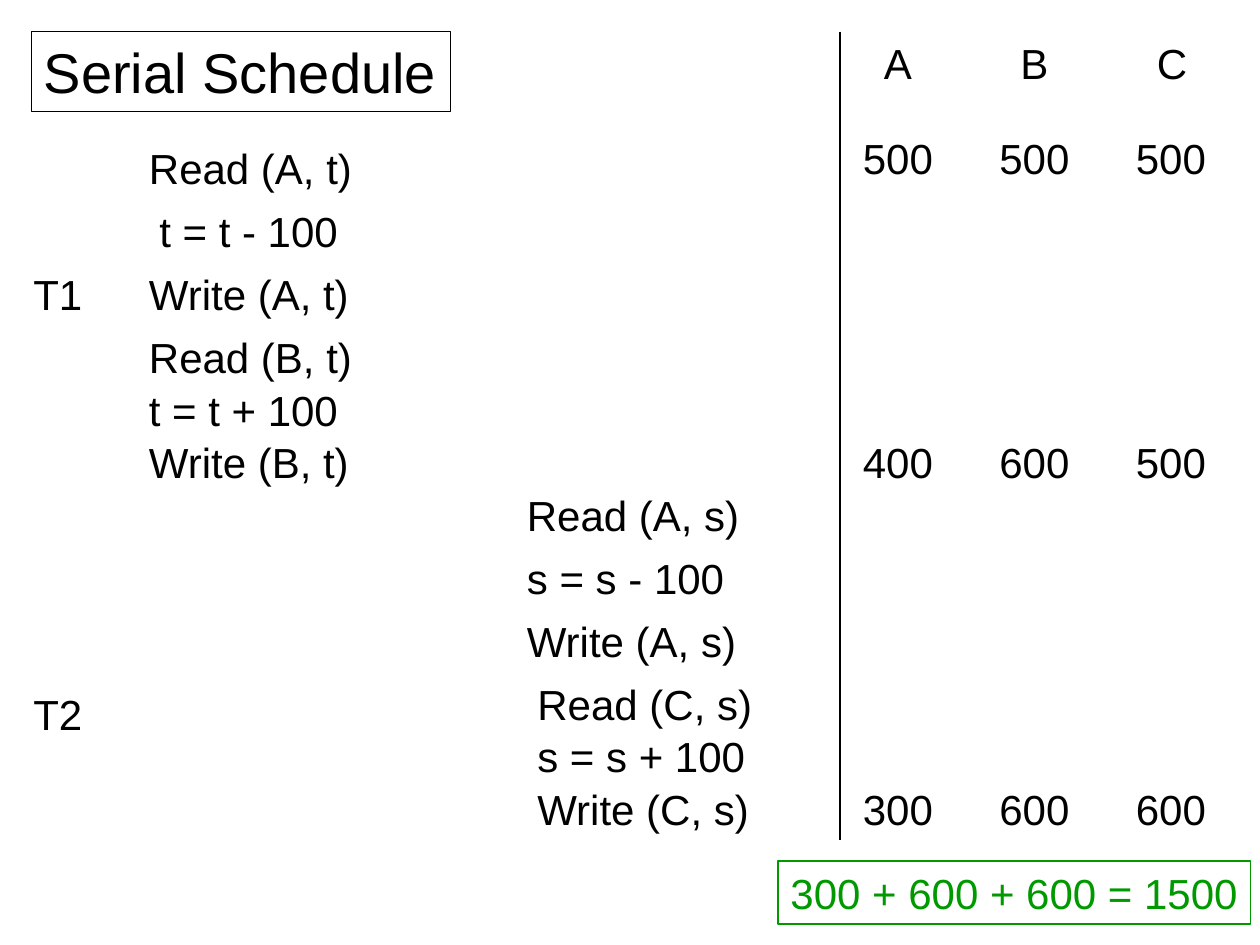
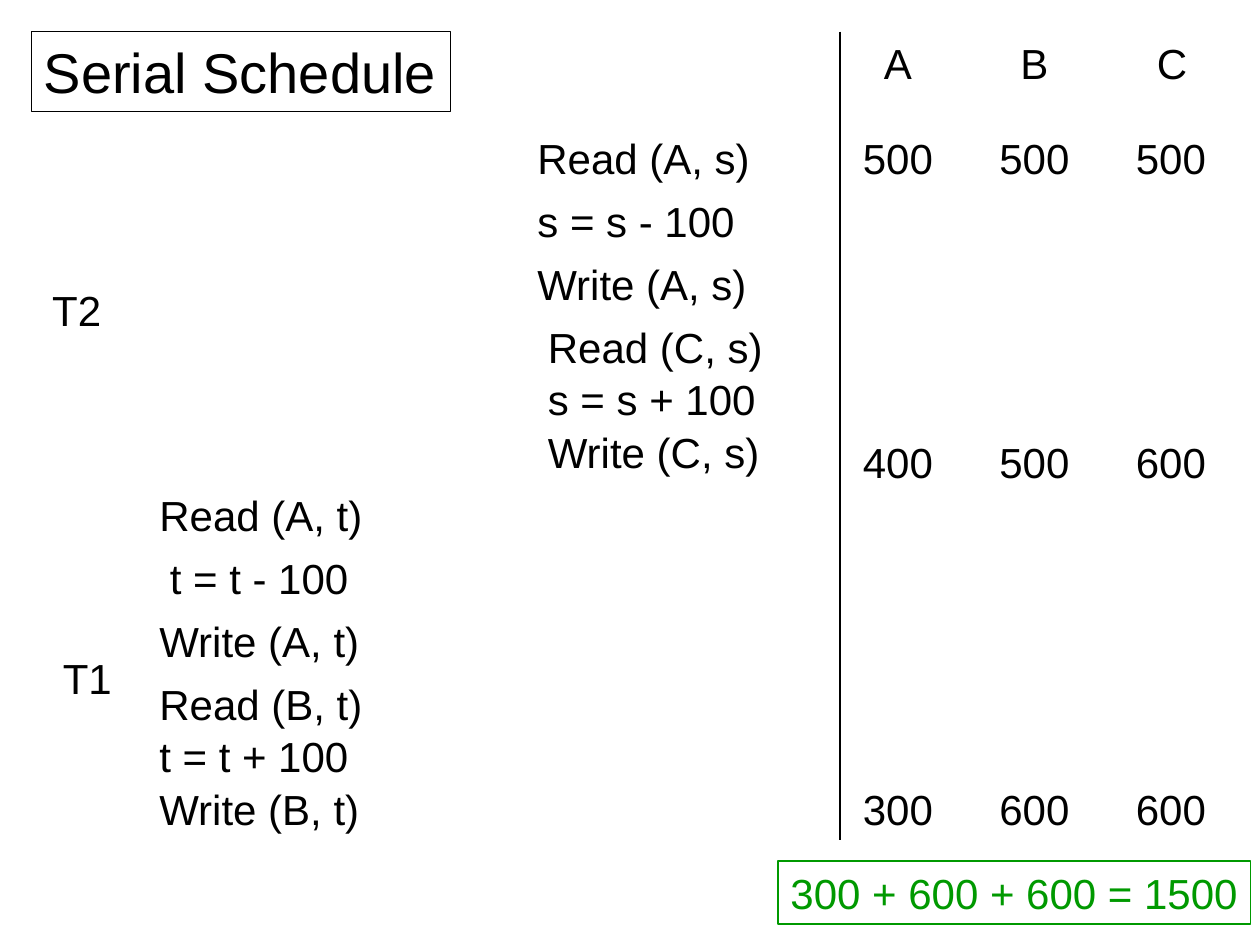
from dataclasses import dataclass

from pptx import Presentation
from pptx.dml.color import RGBColor
from pptx.enum.shapes import MSO_CONNECTOR, MSO_SHAPE
from pptx.enum.text import MSO_ANCHOR, MSO_AUTO_SIZE, PP_ALIGN
from pptx.oxml.ns import qn
from pptx.util import Emu, Pt
from lxml.etree import SubElement

EMU_PER_PX = 7620  # 120 px to the inch


@dataclass(frozen=True)
class Theme:
    font: str = "Arial"
    ink: RGBColor = RGBColor(0x00, 0x00, 0x00)
    total: RGBColor = RGBColor(0x00, 0x99, 0x00)
    title_size: int = 32
    body_size: int = 24
    line_width: float = 0.75


THEME = Theme()
LINE_H = 60
STEP_TOPS = (0, 60, 120, 180, 230, 280)
VALUE_TOPS = (120, 410, 740)
VALUES_LEFT, COLUMN_STEP = 810, 130

# Each operation: text, indent, width
T1_STEPS = (
    ("Read (A, t)", 0, 220),
    ("t = t - 100", 10, 197),
    ("Write (A, t)", 0, 220),
    ("Read (B, t)", 0, 220),
    ("t = t + 100", 0, 207),
    ("Write (B, t)", 0, 220),
)
T2_STEPS = (
    ("Read (A, s)", 0, 230),
    ("s = s - 100", 0, 215),
    ("Write (A, s)", 0, 230),
    ("Read (C, s)", 10, 232),
    ("s = s + 100", 10, 226),
    ("Write (C, s)", 10, 230),
)


def px(n):
    return Emu(n * EMU_PER_PX)


def fill_text(s, text, size, color):
    tf = s.text_frame
    tf.text = text
    tf.word_wrap = False
    tf.auto_size = MSO_AUTO_SIZE.NONE
    tf.vertical_anchor = MSO_ANCHOR.TOP
    p = tf.paragraphs[0]
    p.alignment = PP_ALIGN.LEFT
    font = p.runs[0].font
    font.name = THEME.font
    font.size = Pt(size)
    font.color.rgb = color


def add_label(slide, text, x, y, w):
    s = slide.shapes.add_textbox(px(x), px(y), px(w), px(LINE_H))
    fill_text(s, text, THEME.body_size, THEME.ink)


def add_framed_text(slide, text, x, y, w, h, size, color):
    s = slide.shapes.add_shape(MSO_SHAPE.RECTANGLE, px(x), px(y), px(w), px(h))
    s.shadow.inherit = False
    s.fill.background()
    s.line.color.rgb = color
    s.line.width = Pt(THEME.line_width)
    fill_text(s, text, size, color)


def add_divider(slide, x, top, bottom):
    s = slide.shapes.add_connector(
        MSO_CONNECTOR.STRAIGHT, px(x), px(top), px(x), px(bottom))
    s.line.color.rgb = THEME.ink
    s.line.width = Pt(THEME.line_width)
    SubElement(s._element.spPr, qn("a:effectLst"))


def add_transaction(slide, steps, x, y):
    for (text, indent, w), top in zip(steps, STEP_TOPS):
        add_label(slide, text, x + indent, y + top, w)


def add_values(slide, rows):
    """Add the A, B, C columns with one row of values per database state."""
    for i, name in enumerate("ABC"):
        x = VALUES_LEFT + i * COLUMN_STEP
        add_label(slide, name, x + 20, 30, 54)
        for row, y in zip(rows, VALUE_TOPS):
            add_label(slide, str(row[i]), x, y, 94)


def add_schedule(prs, transactions, labels, rows):
    slide = prs.slides.add_slide(prs.slide_layouts[6])
    for steps, x, y in transactions:
        add_transaction(slide, steps, x, y)
    add_divider(slide, 800, 30, 800)
    add_values(slide, rows)
    final = rows[-1]
    add_framed_text(slide, f"{' + '.join(map(str, final))} = {sum(final)}",
                    741, 820, 450, LINE_H, THEME.body_size, THEME.total)
    add_framed_text(slide, "Serial Schedule", 30, 30, 399, 76,
                    THEME.title_size, THEME.ink)
    for text, x, y in labels:
        add_label(slide, text, x, y, 74)


def main():
    prs = Presentation()
    prs.slide_width, prs.slide_height = px(1200), px(900)
    add_schedule(
        prs,
        transactions=((T1_STEPS, 130, 130), (T2_STEPS, 490, 460)),
        labels=(("T1", 20, 250), ("T2", 20, 650)),
        rows=((500, 500, 500), (400, 600, 500), (300, 600, 600)),
    )
    add_schedule(
        prs,
        transactions=((T1_STEPS, 140, 460), (T2_STEPS, 500, 120)),
        labels=(("T2", 38, 265), ("T1", 48, 616)),
        rows=((500, 500, 500), (400, 500, 600), (300, 600, 600)),
    )
    prs.save("out.pptx")


if __name__ == "__main__":
    main()
